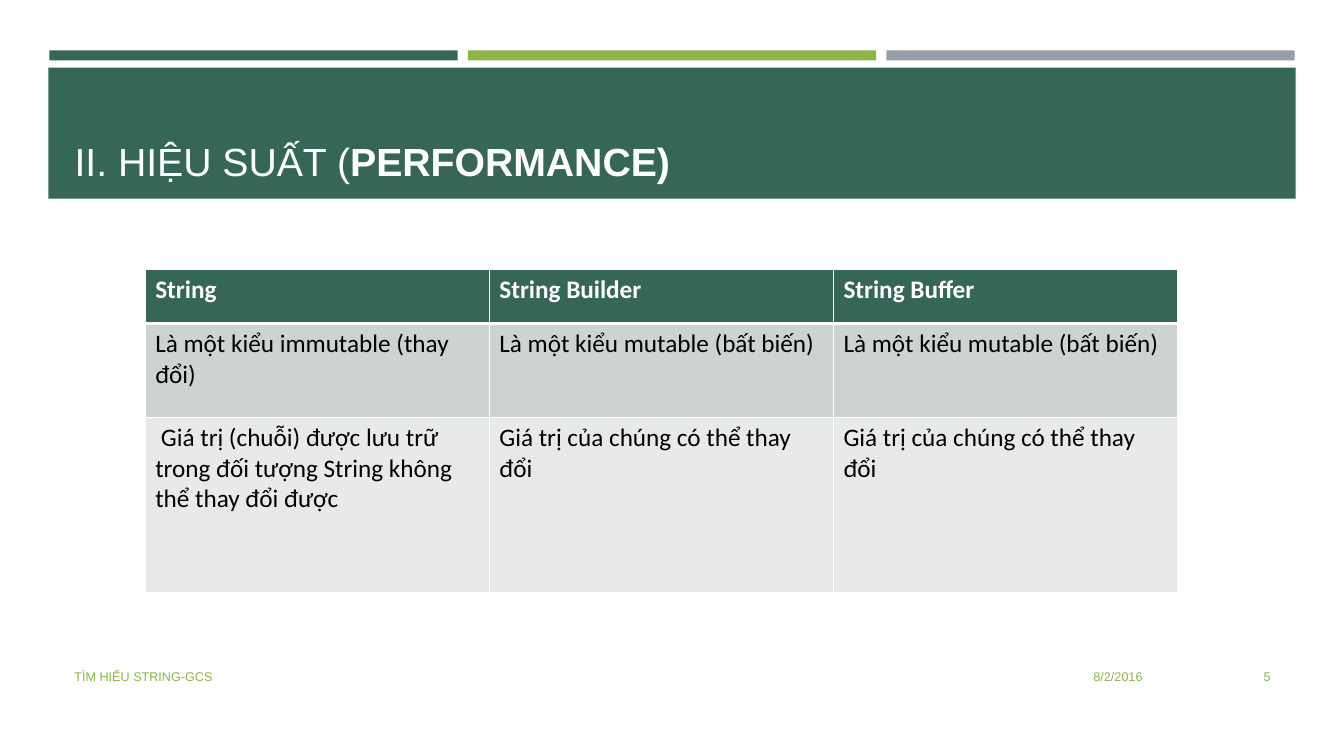
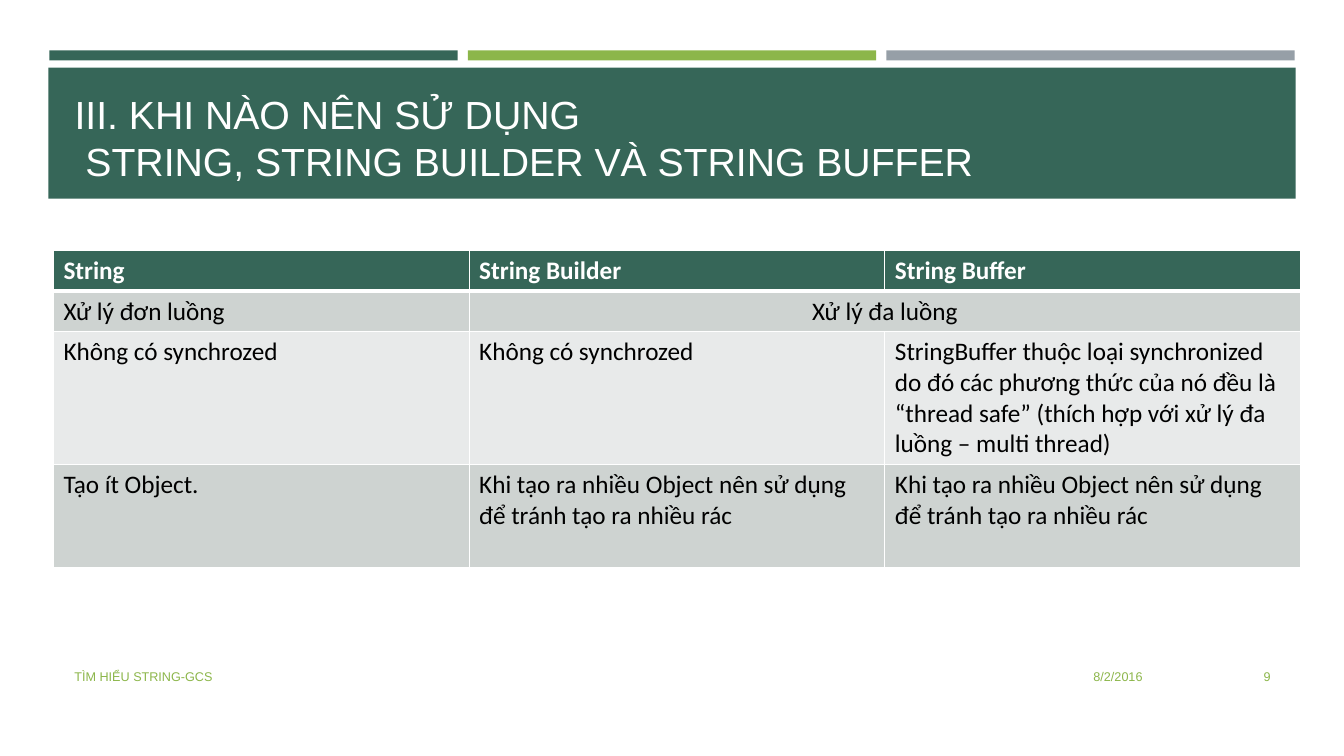
from lxml import etree
from pptx import Presentation
from pptx.dml.color import RGBColor
from pptx.enum.shapes import MSO_SHAPE
from pptx.enum.text import MSO_ANCHOR, MSO_AUTO_SIZE, PP_ALIGN
from pptx.oxml.ns import qn
from pptx.util import Inches, Pt

RECTANGLE = MSO_SHAPE.RECTANGLE
LEFT, CENTER, RIGHT = PP_ALIGN.LEFT, PP_ALIGN.CENTER, PP_ALIGN.RIGHT
BOTTOM, MIDDLE = MSO_ANCHOR.BOTTOM, MSO_ANCHOR.MIDDLE
TITLE_ONLY = 5

COLORS = {
    "green": "366658", "lime": "8CB64A", "gray": "969FA7",
    "white": "FFFFFF", "black": "000000",
    "odd_row": "CED3D1", "even_row": "E8EAEA",
}
HEADING_FONT, TABLE_FONT = "Arial", "Calibri"

# Content
FOOTER_TEXT = "TÌM HIỂU STRING-GCS"
FOOTER_DATE = "8/2/2016"
HEADER = ["String", "String Builder", "String Buffer"]
MUTABLE = "Là một kiểu mutable (bất biến)"
CHANGEABLE = "Giá trị của chúng có thể thay đổi"
MANY_OBJECTS = "Khi tạo ra nhiều Object nên sử dụng để tránh tạo ra nhiều rác"

# Title runs are (text, bold); a None cell joins the cell to its left
SLIDES = [
    {
        "number": "5",
        "title": [("II. HIỆU SUẤT (", False), ("PERFORMANCE)", True)],
        "table_at": (1.44, 2.67, 10.24),
        "row_heights": [0.54, 0.93, 1.74],
        "rows": [
            HEADER,
            ["Là một kiểu immutable (thay đổi)", MUTABLE, MUTABLE],
            [" Giá trị (chuỗi) được lưu trữ trong đối tượng String không thể thay đổi được",
             CHANGEABLE, CHANGEABLE],
        ],
    },
    {
        "number": "9",
        "title": [("III. KHI NÀO NÊN SỬ DỤNG\v STRING, STRING BUILDER VÀ STRING BUFFER", False)],
        "table_at": (0.53, 2.48, 12.37),
        "row_heights": [0.41, 0.4, 1.32, 1.02],
        "rows": [
            HEADER,
            ["Xử lý đơn luồng", "Xử lý đa luồng", None],
            ["Không có synchrozed", "Không có synchrozed",
             "StringBuffer thuộc loại synchronized do đó các phương thức của nó đều là "
             "“thread safe” (thích hợp với xử lý đa luồng – multi thread)"],
            ["Tạo ít Object.", MANY_OBJECTS, MANY_OBJECTS],
        ],
    },
]

# Shared geometry: left, top, width, height
BAND_LEFT, BAND_STEP = 0.49, 4.15
BANDS = [(color, (BAND_LEFT + index * BAND_STEP, 0.5, 4.05, 0.1))
         for index, color in enumerate(["green", "lime", "gray"])]
BANDS.append(("green", (0.48, 0.67, 12.37, 1.3)))
TITLE_BOX = (0.64, 0.77, 12.06, 1.11)
FOOTER_TOP, FOOTER_HEIGHT = 6.51, 0.4


def rgb(name):
    return RGBColor.from_string(COLORS[name])


def format_font(font, name, size, color, bold=False):
    font.name, font.size, font.bold = name, Pt(size), bold
    font.color.rgb = rgb(color)


def add_bands_to_layout(layout, slide):
    """Draw the bands once and place them behind the layout's placeholders."""
    for index, (color, box) in enumerate(BANDS):
        shape = slide.shapes.add_shape(RECTANGLE, *map(Inches, box))
        shape.shadow.inherit = False
        shape.fill.solid()
        shape.fill.fore_color.rgb = rgb(color)
        shape.line.fill.background()
        element = shape._element
        element.nvSpPr.cNvPr.set("id", str(101 + index))
        layout.shapes._spTree.insert(2 + index, element)


def set_title(slide, runs):
    title = slide.shapes.title
    title.left, title.top, title.width, title.height = map(Inches, TITLE_BOX)
    frame = title.text_frame
    frame.auto_size = MSO_AUTO_SIZE.NONE
    frame.vertical_anchor = BOTTOM
    frame.text = runs[0][0]
    paragraph = frame.paragraphs[0]
    paragraph.alignment = LEFT
    for text, _ in runs[1:]:
        paragraph.add_run().text = text
    # A line break splits a text into several runs of the same weight
    for index, run in enumerate(paragraph.runs):
        bold = runs[min(index, len(runs) - 1)][1]
        format_font(run.font, HEADING_FONT, 28, "white", bold)


def add_footer(slide, number):
    items = [(FOOTER_TEXT, 0.64, 7.56, LEFT),
             (FOOTER_DATE, 8.32, 3.11, RIGHT),
             (number, 11.55, 1.15, RIGHT)]
    for text, left, width, alignment in items:
        box = slide.shapes.add_textbox(Inches(left), Inches(FOOTER_TOP),
                                       Inches(width), Inches(FOOTER_HEIGHT))
        frame = box.text_frame
        frame.word_wrap = True
        frame.vertical_anchor = MIDDLE
        frame.text = text
        paragraph = frame.paragraphs[0]
        paragraph.alignment = alignment
        format_font(paragraph.runs[0].font, HEADING_FONT, 9, "lime")


def set_borders(cell, row_index):
    """White lines, with a thick one below the header row."""
    widths = {"lnL": 1, "lnR": 1,
              "lnT": 3 if row_index == 1 else 1,
              "lnB": 3 if row_index == 0 else 1}
    properties = cell._tc.get_or_add_tcPr()
    for tag, width in widths.items():
        line = etree.SubElement(properties, qn("a:" + tag), w=str(Pt(width)))
        fill = etree.SubElement(line, qn("a:solidFill"))
        etree.SubElement(fill, qn("a:srgbClr"), val=COLORS["white"])


def add_table(slide, position, row_heights, rows):
    left, top, width = position
    frame = slide.shapes.add_table(len(rows), len(HEADER), Inches(left), Inches(top),
                                   Inches(width), Inches(sum(row_heights)))
    table = frame.table
    for row, height in zip(table.rows, row_heights):
        row.height = Inches(height)
    for row_index, texts in enumerate(rows):
        is_header = row_index == 0
        fill = "green" if is_header else "odd_row" if row_index % 2 else "even_row"
        for column_index, text in enumerate(texts):
            cell = table.cell(row_index, column_index)
            set_borders(cell, row_index)
            cell.fill.solid()
            cell.fill.fore_color.rgb = rgb(fill)
            if text is None:
                origin = table.cell(row_index, column_index - 1)
                origin.merge(cell)
                origin.text_frame.paragraphs[0].alignment = CENTER
                continue
            cell.text_frame.text = text
            run = cell.text_frame.paragraphs[0].runs[0]
            format_font(run.font, TABLE_FONT, 18,
                        "white" if is_header else "black", is_header)


def main():
    presentation = Presentation()
    presentation.slide_width, presentation.slide_height = Inches(13.33), Inches(7.5)
    layout = presentation.slide_layouts[TITLE_ONLY]
    for index, content in enumerate(SLIDES):
        slide = presentation.slides.add_slide(layout)
        if index == 0:
            add_bands_to_layout(layout, slide)
        set_title(slide, content["title"])
        add_footer(slide, content["number"])
        add_table(slide, content["table_at"], content["row_heights"], content["rows"])
    presentation.save("out.pptx")


if __name__ == "__main__":
    main()
